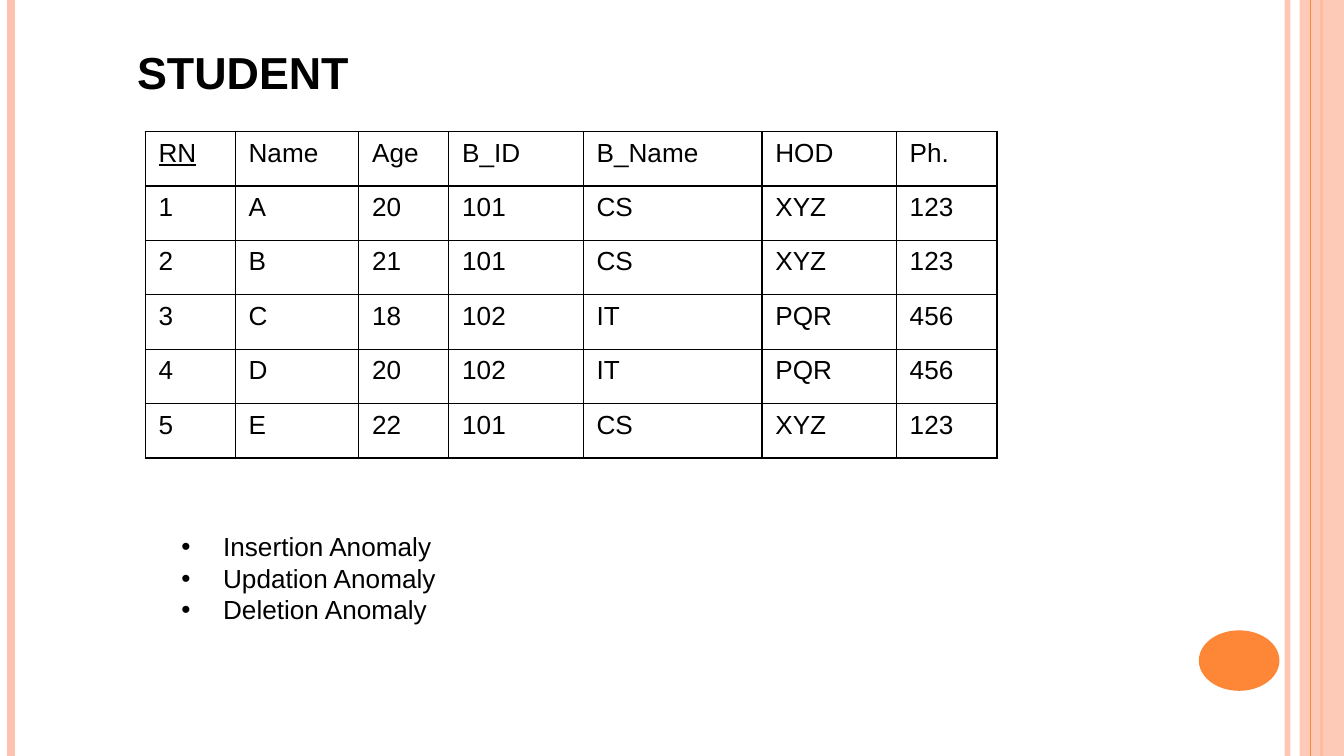
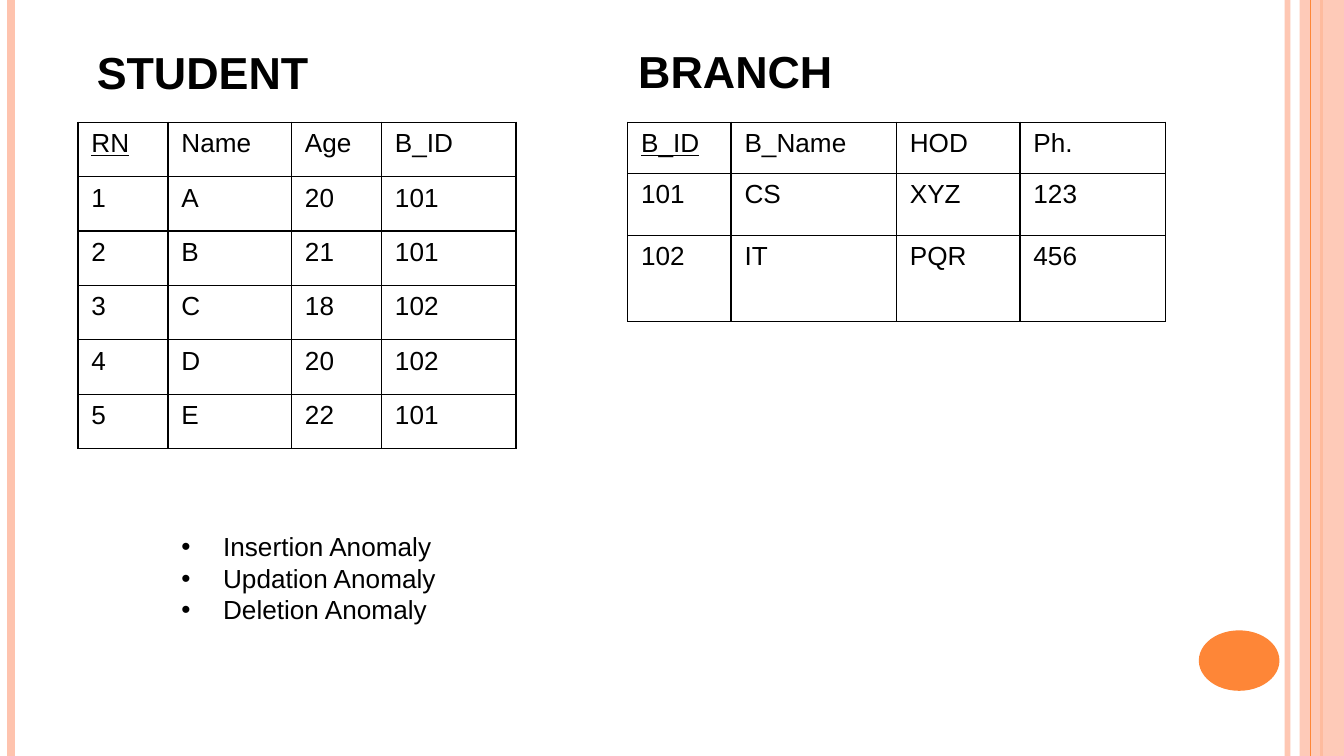
from dataclasses import dataclass

from lxml.etree import SubElement
from pptx import Presentation
from pptx.dml.color import RGBColor
from pptx.enum.shapes import MSO_CONNECTOR as Connector, MSO_SHAPE as Preset
from pptx.enum.text import MSO_ANCHOR as Anchor, MSO_AUTO_SIZE as AutoSize, PP_ALIGN as Align
from pptx.oxml import parse_xml
from pptx.oxml.ns import nsdecls, qn
from pptx.slide import Slide, SlideLayout
from pptx.text.text import TextFrame
from pptx.util import Inches, Pt


@dataclass(frozen=True)
class Theme:
    font: str = "Arial"
    ink: str = "000000"
    peach: str = "FEC3AE"
    orange: str = "FE8637"
    title_size: float = 24
    body_size: float = 14
    border_width: float = 0.75


@dataclass(frozen=True)
class Stripe:
    x: float
    width: float
    color: str
    opacity: int = 100


@dataclass(frozen=True)
class Relation:
    name: str
    name_left: float
    left: float
    top: float
    columns: list[str]
    widths: list[float]
    heights: list[float]


THEME = Theme()
SLIDE_WIDTH = 10
SLIDE_HEIGHT = SLIDE_WIDTH * 9 / 16

# Stripes below and above the wide right-hand band
LOWER_STRIPES = [
    Stripe(9.58, 3, THEME.peach, 93),
    Stripe(0.08, 4.5, THEME.peach),
    Stripe(9.83, 1.5, THEME.orange),
]
UPPER_STRIPE = Stripe(9.75, 0.75, THEME.orange)

# The unnormalised relation; every table is a projection of it
COLUMNS = ["RN", "Name", "Age", "B_ID", "B_Name", "HOD", "Ph."]
RECORDS = [
    ("1", "A", "20", "101", "CS", "XYZ", "123"),
    ("2", "B", "21", "101", "CS", "XYZ", "123"),
    ("3", "C", "18", "102", "IT", "PQR", "456"),
    ("4", "D", "20", "102", "IT", "PQR", "456"),
    ("5", "E", "22", "101", "CS", "XYZ", "123"),
]
STUDENT_WIDTHS = [0.67, 0.92, 0.67, 1, 1.33, 1, 0.75]
STUDENT_HEIGHTS = [2.43 / 6] * 6
ANOMALIES = ["Insertion Anomaly", "Updation Anomaly", "Deletion Anomaly"]

PAGES = [
    [Relation("STUDENT", 0.92, 1.08, 0.98, COLUMNS, STUDENT_WIDTHS, STUDENT_HEIGHTS)],
    [
        Relation("STUDENT", 0.62, 0.58, 0.91, COLUMNS[:4], STUDENT_WIDTHS[:4], STUDENT_HEIGHTS),
        Relation("BRANCH", 4.65, 4.67, 0.91, COLUMNS[3:], [0.77, 1.23, 0.92, 1.08], [0.38, 0.46, 0.64]),
    ],
]


def project(columns: list[str]) -> list[tuple[str, ...]]:
    """Keep the named columns and drop repeated rows."""
    places = [COLUMNS.index(column) for column in columns]
    return list(dict.fromkeys(tuple(record[i] for i in places) for record in RECORDS))


def place(shape, left: float, top: float, width: float, height: float) -> None:
    shape.left, shape.top = Inches(left), Inches(top)
    shape.width, shape.height = Inches(width), Inches(height)


def format_text(frame: TextFrame, size: float, bold: bool = False) -> None:
    for para in frame.paragraphs:
        para.alignment = Align.LEFT
        for span in para.runs:
            span.font.name = THEME.font
            span.font.size = Pt(size)
            span.font.bold = bold
            span.font.color.rgb = RGBColor.from_string(THEME.ink)


def set_opacity(shape, percent: int) -> None:
    if percent < 100:
        color = next(shape.element.iter(qn("a:srgbClr")))
        SubElement(color, qn("a:alpha"), val=str(percent * 1000))


# Shared decoration
def add_stripe(page: Slide, stripe: Stripe):
    x = Inches(stripe.x)
    line = page.shapes.add_connector(Connector.STRAIGHT, x, Inches(0), x, Inches(SLIDE_HEIGHT))
    line.line.color.rgb = RGBColor.from_string(stripe.color)
    line.line.width = Pt(stripe.width)
    set_opacity(line, stripe.opacity)
    SubElement(line.element.spPr, qn("a:effectLst"))
    return line


def add_block(page: Slide, preset: Preset, bounds: tuple, color: str, opacity: int = 100):
    block = page.shapes.add_shape(preset, *map(Inches, bounds))
    block.shadow.inherit = False
    block.fill.solid()
    block.fill.fore_color.rgb = RGBColor.from_string(color)
    block.line.fill.background()
    set_opacity(block, opacity)
    return block


def decorate_layout(page: Slide, layout: SlideLayout) -> None:
    """Draw the bands on a page, then move them to its layout."""
    for holder in list(layout.placeholders):
        if holder.placeholder_format.idx > 1:
            layout.shapes.element.remove(holder.element)
    decorations = [add_stripe(page, stripe) for stripe in LOWER_STRIPES]
    decorations.append(add_block(page, Preset.RECTANGLE, (9.67, 0, 0.33, SLIDE_HEIGHT), THEME.peach, 87))
    decorations.append(add_stripe(page, UPPER_STRIPE))
    decorations.append(add_block(page, Preset.OVAL, (8.92, 4.69, 0.6, 0.45), THEME.orange))
    for position, shape in enumerate(decorations, start=2):
        layout.shapes.element.insert(position, shape.element)


# Page content
def fill_heading(box, relation: Relation) -> None:
    place(box, relation.name_left, 0.28, 2.42, 0.5)
    frame = box.text_frame
    frame.text = relation.name
    frame.word_wrap = True
    frame.auto_size = AutoSize.SHAPE_TO_FIT_TEXT
    frame.vertical_anchor = Anchor.TOP
    format_text(frame, THEME.title_size, bold=True)


def fill_anomalies(box) -> None:
    place(box, 1.25, 3.9, 4.42, 0.81)
    frame = box.text_frame
    frame.text = "\n".join(ANOMALIES)
    frame.auto_size = AutoSize.SHAPE_TO_FIT_TEXT
    format_text(frame, THEME.body_size)
    for para in frame.paragraphs:
        para.space_before = Pt(0)
        properties = para._p.get_or_add_pPr()
        properties.set("marL", str(Inches(0.31)))
        properties.set("indent", str(Inches(-0.31)))
        SubElement(properties, qn("a:buFont"), typeface=THEME.font)
        SubElement(properties, qn("a:buChar"), char="•")


def add_borders(cell) -> None:
    properties = cell._tc.get_or_add_tcPr()
    for position, side in enumerate(("lnL", "lnR", "lnT", "lnB")):
        properties.insert(position, parse_xml(
            f'<a:{side} {nsdecls("a")} w="{Pt(THEME.border_width)}"><a:solidFill>'
            f'<a:srgbClr val="{THEME.ink}"/></a:solidFill></a:{side}>'
        ))


def add_relation_table(page: Slide, relation: Relation) -> None:
    rows = [tuple(relation.columns), *project(relation.columns)]
    bounds = (relation.left, relation.top, sum(relation.widths), sum(relation.heights))
    table = page.shapes.add_table(len(rows), len(relation.columns), *map(Inches, bounds)).table
    table.first_row = table.horz_banding = False
    for column, width in zip(table.columns, relation.widths):
        column.width = Inches(width)
    for row, height, values in zip(table.rows, relation.heights, rows):
        row.height = Inches(height)
        for cell, value in zip(row.cells, values):
            cell.text_frame.text = value
            format_text(cell.text_frame, THEME.body_size)
            cell.fill.background()
            add_borders(cell)
    # The first column is the primary key
    table.cell(0, 0).text_frame.paragraphs[0].runs[0].font.underline = True


def main() -> None:
    deck = Presentation()
    deck.slide_width, deck.slide_height = Inches(SLIDE_WIDTH), Inches(SLIDE_HEIGHT)
    layout = deck.slide_layouts.get_by_name("Title and Content")
    for number, relations in enumerate(PAGES):
        page = deck.slides.add_slide(layout)
        if number == 0:
            decorate_layout(page, layout)
        fill_anomalies(page.placeholders[1])
        for order, relation in enumerate(relations):
            heading = page.shapes.title if order == 0 else page.shapes.add_textbox(0, 0, 0, 0)
            fill_heading(heading, relation)
            add_relation_table(page, relation)
    deck.save("out.pptx")


if __name__ == "__main__":
    main()
